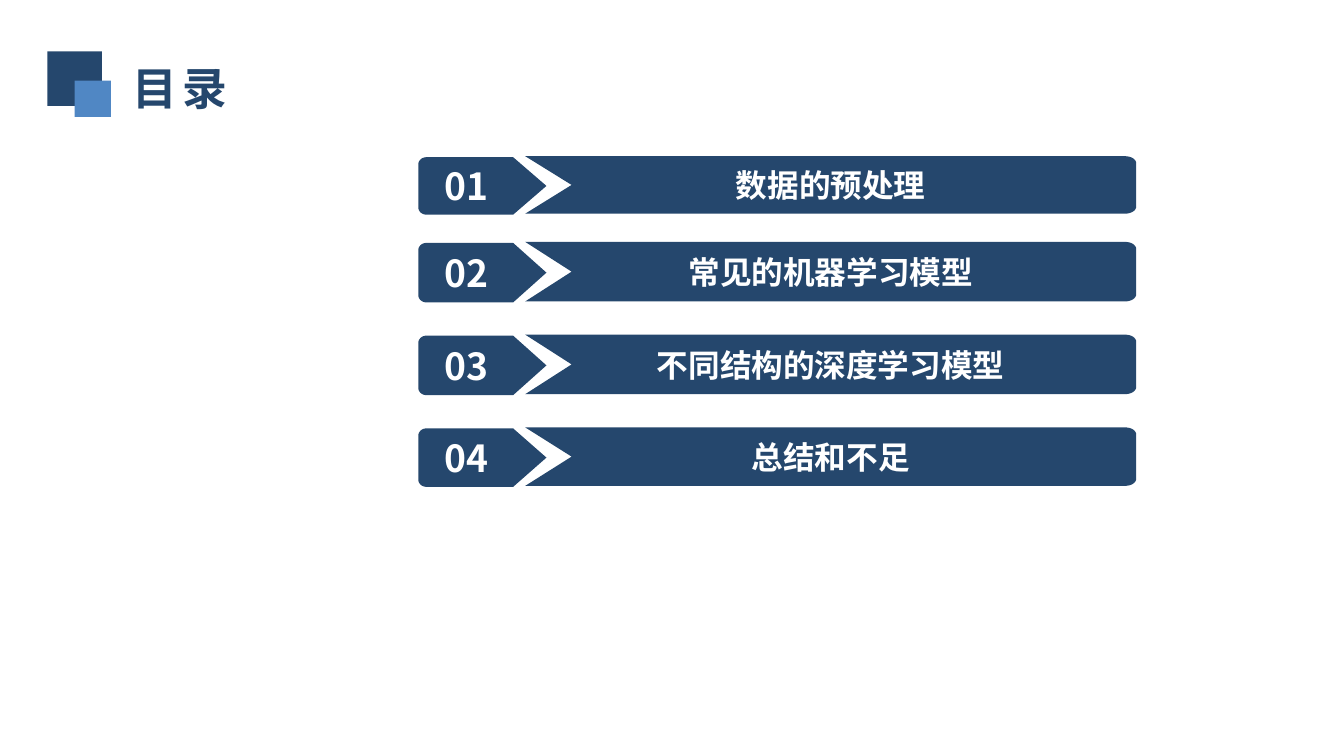
from dataclasses import dataclass
from math import cos, pi, sin

from lxml.etree import SubElement
from pptx import Presentation
from pptx.dml.color import RGBColor as RGB
from pptx.enum.shapes import MSO_SHAPE as SHAPE
from pptx.enum.text import MSO_ANCHOR as ANCHOR, MSO_AUTO_SIZE as AUTO, PP_ALIGN as ALIGN
from pptx.oxml.ns import qn
from pptx.util import Inches, Pt

TITLE = "目录"
CHAPTERS = [
    ("01", "数据的预处理", 1.55, 0.57),
    ("02", "常见的机器学习模型", 2.4, 0.59),
    ("03", "不同结构的深度学习模型", 3.32, 0.59),
    ("04", "总结和不足", 4.24, 0.58),
]


@dataclass(frozen=True)
class Theme:
    font: str = "Noto Sans CJK SC"
    navy: RGB = RGB(0x25, 0x47, 0x6D)
    blue: RGB = RGB(0x50, 0x87, 0xC4)
    white: RGB = RGB(0xFF, 0xFF, 0xFF)
    title: float = 32
    number: float = 26.6
    chapter: float = 22.6


THEME = Theme()
BAR_LEFT, BAR_RIGHT, BAR_NOTCH = 5.21, 11.27, 5.67
TAG_LEFT, TAG_SHOULDER, TAG_TIP = 4.15, 5.09, 5.42
TAG_DROP = 0.01
BAR_RADIUS, TAG_RADIUS, RADIUS_Y = 0.11, 0.08, 0.07
ARC_STEPS = 8


def paint(sp, color):
    sp.shadow.inherit = False
    sp.fill.solid()
    sp.fill.fore_color.rgb = color
    sp.line.fill.background()


def write(sp, text, size, color, align, insets):
    tf = sp.text_frame
    tf.text = text
    tf.word_wrap = True
    tf.auto_size = AUTO.NONE
    tf.vertical_anchor = ANCHOR.MIDDLE
    tf.margin_left, tf.margin_top, tf.margin_right, tf.margin_bottom = map(Inches, insets)
    p = tf.paragraphs[0]
    p.alignment = align
    r = p.runs[0]
    r.font.size, r.font.bold, r.font.name = Pt(size), True, THEME.font
    r.font.color.rgb = color
    rPr = r.font._element
    SubElement(rPr, qn("a:ea")).set("typeface", THEME.font)
    return rPr


def arc(cx, cy, rx, start):
    angles = [start + pi / 2 * i / ARC_STEPS for i in range(ARC_STEPS + 1)]
    return [(cx + rx * cos(a), cy + RADIUS_Y * sin(a)) for a in angles]


def bar_points(top, height):
    bottom, cx = top + height, BAR_RIGHT - BAR_RADIUS
    return [(BAR_LEFT, top),
            *arc(cx, top + RADIUS_Y, BAR_RADIUS, -pi / 2),
            *arc(cx, bottom - RADIUS_Y, BAR_RADIUS, 0),
            (BAR_LEFT, bottom), (BAR_NOTCH, top + height / 2)]


def tag_points(top, height):
    bottom, cx = top + height, TAG_LEFT + TAG_RADIUS
    return [(TAG_SHOULDER, top), (TAG_TIP, top + height / 2), (TAG_SHOULDER, bottom),
            *arc(cx, bottom - RADIUS_Y, TAG_RADIUS, pi / 2),
            *arc(cx, top + RADIUS_Y, TAG_RADIUS, pi)]


def add_label(s, points, text, size, right_inset):
    points = [(Inches(x), Inches(y)) for x, y in points]
    outline = s.shapes.build_freeform(*points[0])
    outline.add_line_segments(points[1:], close=True)
    sp = outline.convert_to_shape()
    paint(sp, THEME.navy)
    write(sp, text, size, THEME.white, ALIGN.CENTER, (0.15, 0.07, right_inset, 0.07))


def add_square(s, left, top, side, color):
    sp = s.shapes.add_shape(SHAPE.RECTANGLE, *map(Inches, (left, top, side, side)))
    paint(sp, color)


def main():
    prs = Presentation()
    prs.slide_width, prs.slide_height = Inches(13.33), Inches(7.5)
    s = prs.slides.add_slide(prs.slide_layouts[5])

    for number, chapter, top, height in CHAPTERS:
        add_label(s, bar_points(top, height), chapter, THEME.chapter, 0.15)
        add_label(s, tag_points(top + TAG_DROP, height), number, THEME.number, 0.47)

    add_square(s, 0.47, 0.51, 0.54, THEME.navy)
    add_square(s, 0.74, 0.8, 0.36, THEME.blue)

    title = s.shapes.title
    title.left, title.top, title.width, title.height = map(Inches, (1.21, 0.55, 2.31, 0.64))
    rPr = write(title, TITLE, THEME.title, THEME.navy, ALIGN.LEFT, (0.1, 0.05, 0.1, 0.05))
    rPr.set("spc", "400")

    prs.save("out.pptx")


if __name__ == "__main__":
    main()
